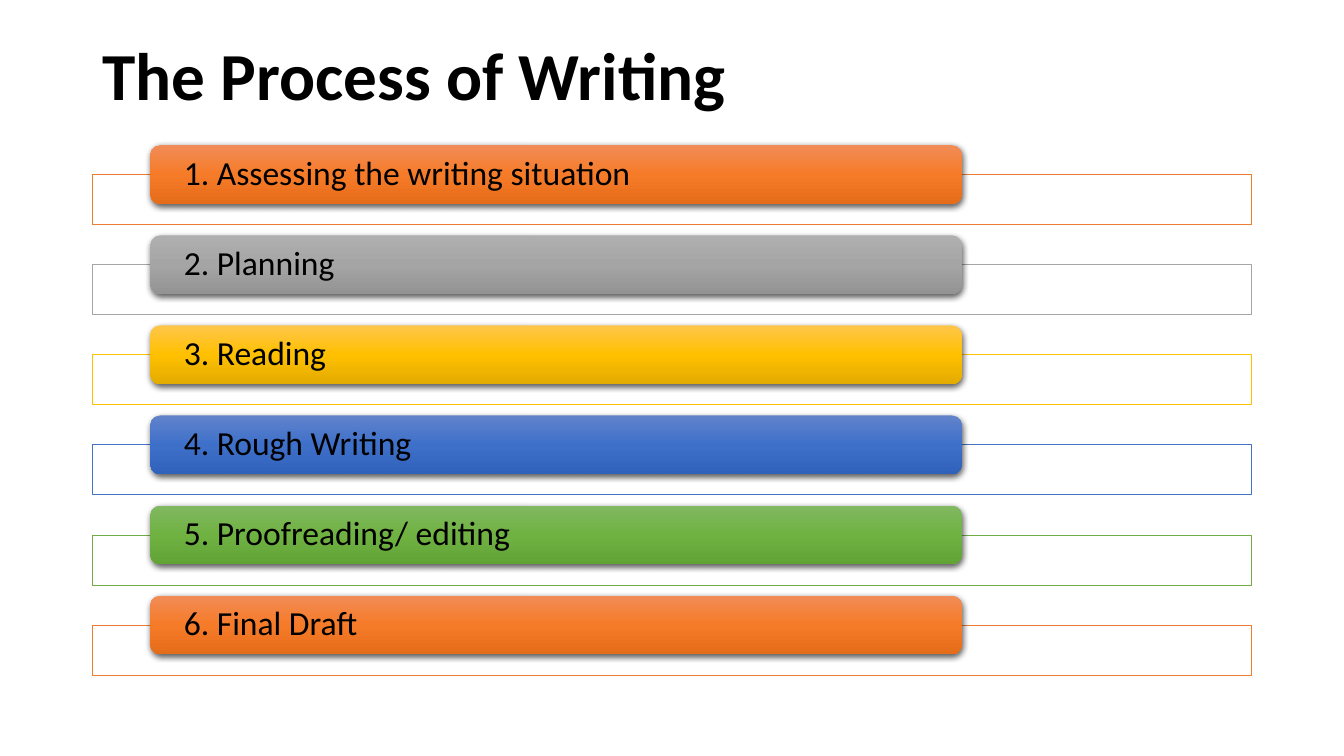
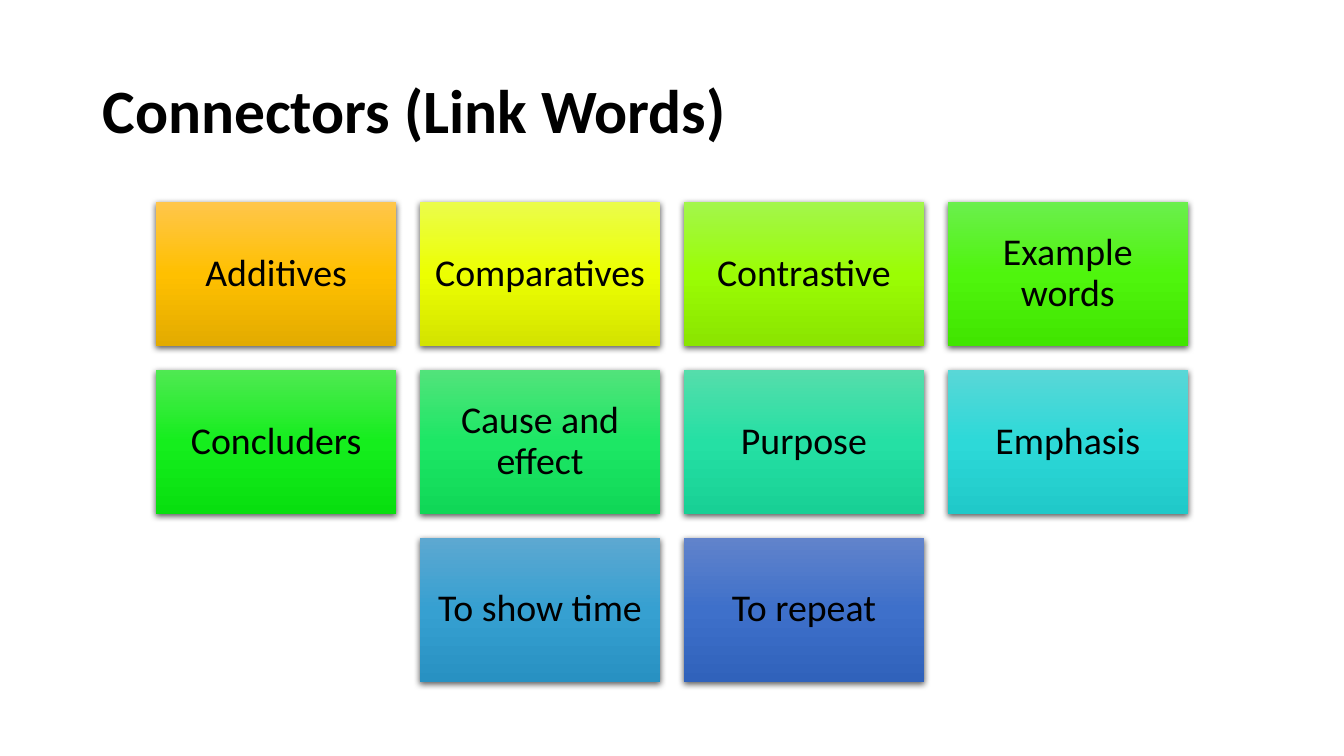
"""Build two slides: the writing process as a list of bars, and link words as a grid of tiles."""
import lxml.etree
import pptx
import pptx.dml.color
import pptx.enum.shapes
import pptx.enum.text
import pptx.oxml.ns
import pptx.util

Cm = pptx.util.Cm
Pt = pptx.util.Pt
RGB = pptx.dml.color.RGBColor
SHAPE = pptx.enum.shapes.MSO_SHAPE
ALIGN = pptx.enum.text.PP_ALIGN
qn = pptx.oxml.ns.qn

FONT = "Calibri"
BLACK = RGB.from_string("000000")
WHITE = RGB.from_string("FFFFFF")


def shades(*codes):
    return [RGB.from_string(code) for code in codes]


ORANGE = shades("F18C57", "F67B28", "E56C19")
GREY = shades("AFAFAF", "A5A5A5", "939393")
GOLD = shades("FFC64B", "FFC000", "E3AB00")
BLUE = shades("6183CB", "3E70CA", "3062BB")
GREEN = shades("81B861", "6FB242", "62A336")
YELLOW = shades("EBFC4B", "ECFF01", "D3E300")
LIME = shades("A3F64C", "9BFD04", "8AE400")
LEAF = shades("6BEF4D", "4FF50D", "41E500")
VIVID = shades("4FE952", "15EE1D", "08DF0F")
EMERALD = shades("52E37B", "1DE765", "10D757")
MINT = shades("55DDAB", "25E0A4", "18D095")
TURQUOISE = shades("59D7D7", "2DD9D8", "20C9C9")
SKY = shades("5DA8D1", "36A0D1", "2891C2")

ORANGE_LINE, GREY_LINE, GOLD_LINE, BLUE_LINE, GREEN_LINE = shades(
    "ED7D31", "A5A5A5", "FFC000", "4472C4", "70AD47")

STEPS = [
    ("1. Assessing the writing situation", ORANGE, ORANGE_LINE),
    ("2. Planning", GREY, GREY_LINE),
    ("3. Reading", GOLD, GOLD_LINE),
    ("4. Rough Writing", BLUE, BLUE_LINE),
    ("5. Proofreading/ editing", GREEN, GREEN_LINE),
    ("6. Final Draft", ORANGE, ORANGE_LINE),
]
CONNECTORS = [
    [("Additives", GOLD), ("Comparatives", YELLOW), ("Contrastive", LIME), ("Example words", LEAF)],
    [("Concluders", VIVID), ("Cause and effect", EMERALD), ("Purpose", MINT), ("Emphasis", TURQUOISE)],
    [("To show time", SKY), ("To repeat", BLUE)],
]

SLIDE_W, SLIDE_H = Cm(33.87), Cm(19.05)
LEFT, CONTENT_W = Cm(2.33), Cm(29.21)
TITLE_TOP = Cm(1.01)

BAR_LEFT, BAR_TOP, BAR_W, BAR_H = Cm(3.79), Cm(3.66), Cm(20.45), Cm(1.48)
FRAME_H, STEP_PITCH = Cm(1.26), Cm(2.27)
BAR_INSETS = (Cm(0.77), 0)

TILE_TOP, TILE_W, TILE_H, TILE_GAP = Cm(5.09), Cm(6.05), Cm(3.63), Cm(0.6)
TILE_INSETS = (Cm(0.27), Cm(0.27))


def write(tf, text, size, align, bold=False):
    tf.text = text
    tf.word_wrap = True
    tf.auto_size = pptx.enum.text.MSO_AUTO_SIZE.NONE
    tf.vertical_anchor = pptx.enum.text.MSO_ANCHOR.MIDDLE
    p = tf.paragraphs[0]
    p.alignment = align
    p.line_spacing = 0.9
    p.font.name = FONT
    p.font.size = Pt(size)
    p.font.bold = bold
    p.font.color.rgb = BLACK


def add_titled_slide(prs, text, height, size):
    s = prs.slides.add_slide(prs.slide_layouts[5])
    title = s.shapes.title
    title.left, title.top, title.width, title.height = LEFT, TITLE_TOP, CONTENT_W, height
    write(title.text_frame, text, size, ALIGN.LEFT, bold=True)
    return s


def fill_gradient(sp, colors):
    sp.fill.gradient()
    sp.fill.gradient_angle = 270
    stops = sp.element.spPr.find(".//" + qn("a:gsLst"))
    for gs in list(stops):
        stops.remove(gs)
    for position, color in zip((0, 50000, 100000), colors):
        gs = lxml.etree.SubElement(stops, qn("a:gs"), pos=str(position))
        lxml.etree.SubElement(gs, qn("a:srgbClr"), val=str(color))


def add_shadow(sp):
    sp.shadow.inherit = False
    effects = sp.element.spPr.find(qn("a:effectLst"))
    shadow = lxml.etree.SubElement(
        effects, qn("a:outerShdw"), blurRad=str(Pt(4.5)), dist=str(Pt(1.5)),
        dir="5400000", algn="ctr", rotWithShape="0")
    color = lxml.etree.SubElement(shadow, qn("a:srgbClr"), val=str(BLACK))
    lxml.etree.SubElement(color, qn("a:alpha"), val="63000")


def add_card(s, kind, box, text, colors, size, align, insets):
    sp = s.shapes.add_shape(kind, *box)
    fill_gradient(sp, colors)
    sp.line.fill.background()
    add_shadow(sp)
    tf = sp.text_frame
    tf.margin_left = tf.margin_right = insets[0]
    tf.margin_top = tf.margin_bottom = insets[1]
    write(tf, text, size, align)


def add_frame(s, top, color):
    sp = s.shapes.add_shape(SHAPE.RECTANGLE, LEFT, top, CONTENT_W, FRAME_H)
    sp.shadow.inherit = False
    sp.fill.solid()
    sp.fill.fore_color.rgb = WHITE
    sp.line.color.rgb = color
    sp.line.width = Pt(0.5)


def build_process(prs):
    s = add_titled_slide(prs, "The Process of Writing", Cm(1.93), 48)
    for i, (text, colors, line) in enumerate(STEPS):
        top = BAR_TOP + i * STEP_PITCH
        add_frame(s, top + BAR_H // 2, line)
        add_card(s, SHAPE.ROUNDED_RECTANGLE, (BAR_LEFT, top, BAR_W, BAR_H),
                 text, colors, 24, ALIGN.LEFT, BAR_INSETS)


def build_connectors(prs):
    s = add_titled_slide(prs, "Connectors (Link Words)", Cm(3.68), 44)
    for i, row in enumerate(CONNECTORS):
        row_w = len(row) * (TILE_W + TILE_GAP) - TILE_GAP
        row_left = (SLIDE_W - row_w) // 2
        top = TILE_TOP + i * (TILE_H + TILE_GAP)
        for j, (text, colors) in enumerate(row):
            left = row_left + j * (TILE_W + TILE_GAP)
            add_card(s, SHAPE.RECTANGLE, (left, top, TILE_W, TILE_H),
                     text, colors, 27, ALIGN.CENTER, TILE_INSETS)


def main():
    prs = pptx.Presentation()
    prs.slide_width, prs.slide_height = SLIDE_W, SLIDE_H
    build_process(prs)
    build_connectors(prs)
    prs.save("out.pptx")


if __name__ == "__main__":
    main()
